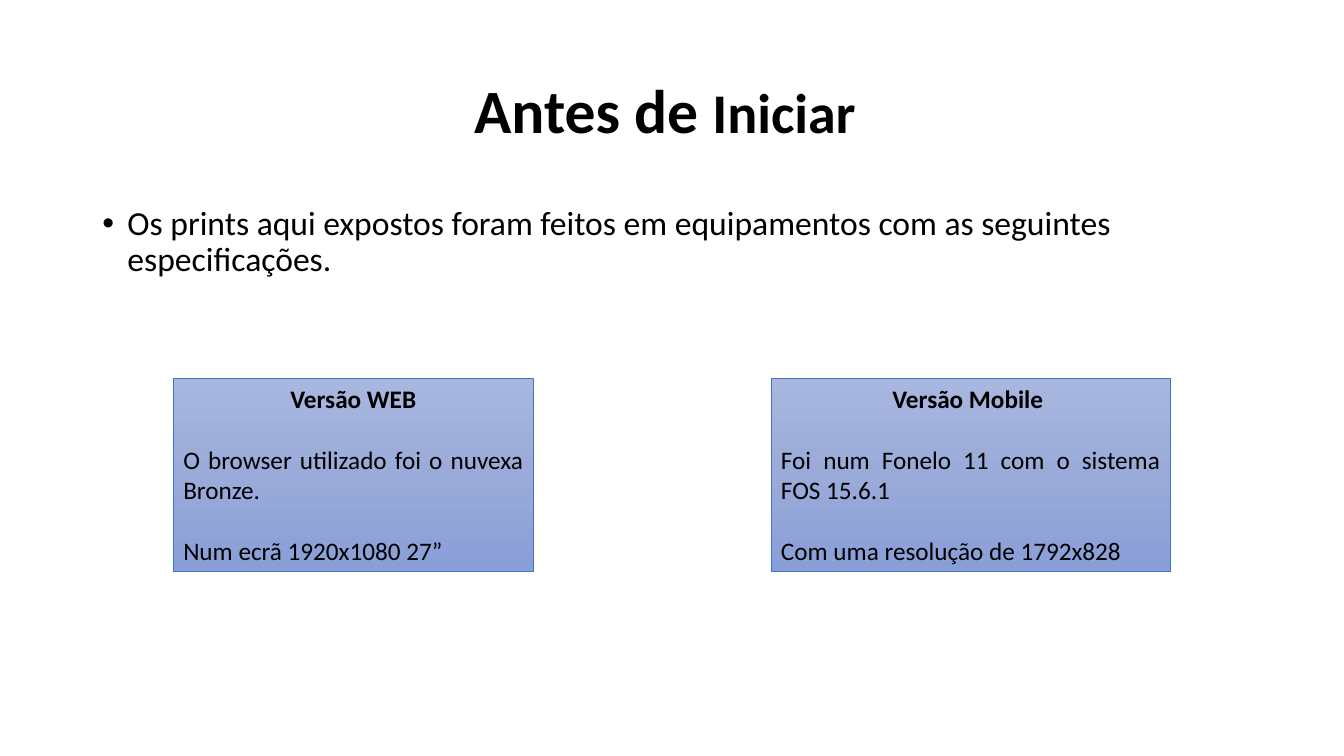
from copy import deepcopy

from lxml import etree
from pptx import Presentation
from pptx.dml.color import RGBColor
from pptx.enum.shapes import MSO_SHAPE
from pptx.enum.text import MSO_ANCHOR, PP_ALIGN
from pptx.oxml.ns import qn
from pptx.util import Pt

RECTANGLE = MSO_SHAPE.RECTANGLE
TOP, MIDDLE = MSO_ANCHOR.TOP, MSO_ANCHOR.MIDDLE
LEFT, CENTER, JUSTIFY = PP_ALIGN.LEFT, PP_ALIGN.CENTER, PP_ALIGN.JUSTIFY

FONT = "Calibri"
COLORS = {
    "text": "000000",
    "card_top": "A8B7DF",
    "card_middle": "9AABD9",
    "card_bottom": "889ED7",
    "card_line": "4472C4",
}
CONTENT_LEFT, CONTENT_WIDTH = 66, 828
CARD_TOP, CARD_HEIGHT = 270, 138.24
CARD_GAP = 22  # one 18 pt line between card paragraphs
CARDS = [
    (123.84, 257.04, "Versão WEB",
     ["O browser utilizado foi o nuvexa Bronze.", "Num ecrã 1920x1080 27”"]),
    (550.8, 285.12, "Versão Mobile ",
     ["Foi num Fonelo 11 com o sistema FOS 15.6.1", "Com uma resolução de 1792x828"]),
]


class SlideBuilder:
    def __init__(self, presentation):
        self.slide = presentation.slides.add_slide(presentation.slide_layouts[6])

    def color(self, name):
        return RGBColor.from_string(COLORS[name])

    def format_run(self, run, size, bold=False):
        run.font.name = FONT
        run.font.size = Pt(size)
        run.font.bold = bold
        run.font.color.rgb = self.color("text")

    def text_box(self, top, height, anchor, alignment):
        """Add a full-width text box and return its first paragraph."""
        box = self.slide.shapes.add_textbox(
            Pt(CONTENT_LEFT), Pt(top), Pt(CONTENT_WIDTH), Pt(height))
        box.text_frame.word_wrap = True
        box.text_frame.vertical_anchor = anchor
        paragraph = box.text_frame.paragraphs[0]
        paragraph.alignment = alignment
        paragraph.line_spacing = 0.9
        return paragraph

    def title(self, parts):
        paragraph = self.text_box(28.8, 104.4, MIDDLE, CENTER)
        for text, size in parts:
            run = paragraph.add_run()
            run.text = text
            self.format_run(run, size, bold=True)

    def bullet(self, text):
        paragraph = self.text_box(144, 70.56, TOP, LEFT)
        paragraph.text = text
        paragraph.space_before = Pt(10)
        self.format_run(paragraph.runs[0], 24)
        properties = paragraph._p.get_or_add_pPr()
        properties.set("marL", str(Pt(18)))
        properties.set("indent", str(Pt(-18)))
        etree.SubElement(properties, qn("a:buFont"), typeface="Arial")
        etree.SubElement(properties, qn("a:buChar"), char="•")

    def fill_gradient(self, shape):
        """Fill from top to bottom with the three card colours."""
        shape.fill.gradient()
        shape.fill.gradient_angle = 270
        stop_list = shape._element.spPr.find(".//" + qn("a:gsLst"))
        stop_list.insert(1, deepcopy(stop_list[0]))
        names = ("card_top", "card_middle", "card_bottom")
        for index, (stop, name) in enumerate(zip(shape.fill.gradient_stops, names)):
            stop.position = index / 2
            stop.color.rgb = self.color(name)

    def card(self, left, width, heading, details):
        shape = self.slide.shapes.add_shape(
            RECTANGLE, Pt(left), Pt(CARD_TOP), Pt(width), Pt(CARD_HEIGHT))
        shape.shadow.inherit = False
        self.fill_gradient(shape)
        shape.line.color.rgb = self.color("card_line")
        shape.line.width = Pt(0.5)
        frame = shape.text_frame
        frame.word_wrap = True
        frame.vertical_anchor = TOP
        frame.text = "\n".join([heading, *details])
        for index, paragraph in enumerate(frame.paragraphs):
            is_heading = index == 0
            paragraph.alignment = CENTER if is_heading else JUSTIFY
            paragraph.space_before = Pt(0 if is_heading else CARD_GAP)
            self.format_run(paragraph.runs[0], 18, bold=is_heading)


def main():
    presentation = Presentation()
    presentation.slide_width = Pt(960)
    presentation.slide_height = Pt(540)
    builder = SlideBuilder(presentation)
    builder.title([("Antes de ", 44), ("Iniciar", 40), (" ", 44)])
    builder.bullet("Os prints aqui expostos foram feitos em equipamentos "
                   "com as seguintes especificações.")
    for card in CARDS:
        builder.card(*card)
    presentation.save("out.pptx")


if __name__ == "__main__":
    main()
